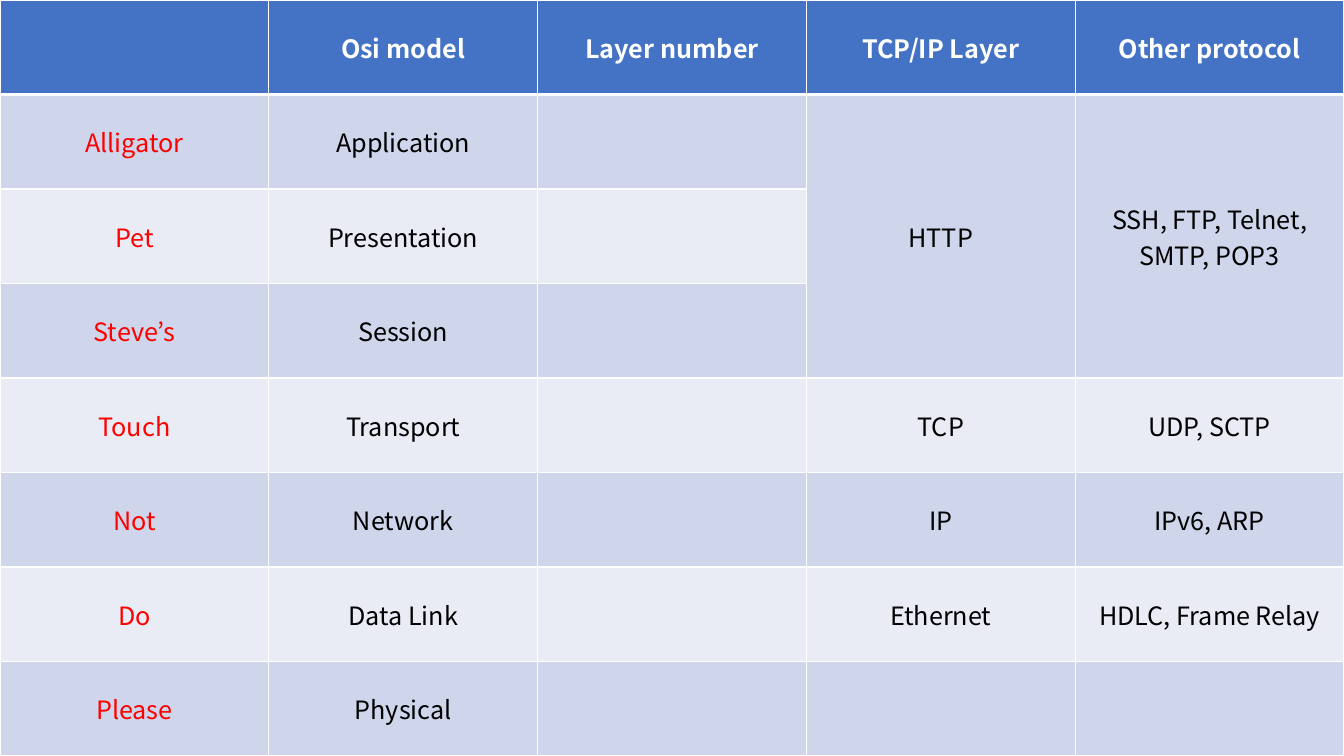
from dataclasses import dataclass

from lxml import etree
from pptx import Presentation
from pptx.dml.color import RGBColor
from pptx.enum.text import MSO_ANCHOR, PP_ALIGN
from pptx.oxml.ns import qn
from pptx.util import Cm, Pt

MIDDLE = MSO_ANCHOR.MIDDLE
CENTER = PP_ALIGN.CENTER

# Content
HEADER = ("", "Osi model", "Layer number", "TCP/IP Layer", "Other protocol")
LAYERS = [
    ("Alligator", "Application", "", "HTTP", "SSH, FTP, Telnet, SMTP, POP3"),
    ("Pet", "Presentation", "", "", ""),
    ("Steve’s", "Session", "", "", ""),
    ("Touch", "Transport", "", "TCP", "UDP, SCTP"),
    ("Not", "Network", "", "IP", "IPv6, ARP"),
    ("Do", "Data Link", "", "Ethernet", "HDLC, Frame Relay"),
    ("Please", "Physical", "", "", ""),
]
MERGED_COLUMNS = (3, 4)
MERGED_ROWS = (1, 3)


@dataclass(frozen=True)
class Theme:
    font: str = "Noto Sans CJK KR"
    size: int = 18
    header_fill: str = "4472C4"
    bands: tuple = ("CFD5EA", "E9EBF5")
    header_text: str = "FFFFFF"
    mnemonic: str = "FF0000"
    body_text: str = "000000"
    border: str = "FFFFFF"
    thin: int = 1
    thick: int = 3


THEME = Theme()


def set_borders(cell, top, bottom):
    tc_pr = cell._tc.get_or_add_tcPr()
    widths = {"a:lnL": THEME.thin, "a:lnR": THEME.thin, "a:lnT": top, "a:lnB": bottom}
    for i, (tag, width) in enumerate(widths.items()):
        ln = etree.Element(qn(tag), w=str(Pt(width)))
        fill = etree.SubElement(ln, qn("a:solidFill"))
        etree.SubElement(fill, qn("a:srgbClr"), val=THEME.border)
        tc_pr.insert(i, ln)


def format_cell(cell, text, row, col):
    is_header = row == 0
    if is_header:
        fill, color = THEME.header_fill, THEME.header_text
    else:
        fill = THEME.bands[(row - 1) % 2]
        color = THEME.mnemonic if col == 0 else THEME.body_text
    cell.fill.solid()
    cell.fill.fore_color.rgb = RGBColor.from_string(fill)
    set_borders(cell, THEME.thick if row == 1 else THEME.thin,
                THEME.thick if is_header else THEME.thin)
    cell.vertical_anchor = MIDDLE
    cell.text_frame.text = text
    p = cell.text_frame.paragraphs[0]
    p.alignment = CENTER
    p.font.size = Pt(THEME.size)
    for r in p.runs:
        r.font.name = THEME.font
        r.font.size = Pt(THEME.size)
        r.font.bold = is_header
        r.font.color.rgb = RGBColor.from_string(color)


def main():
    prs = Presentation()
    prs.slide_width, prs.slide_height = Cm(33.87), Cm(19.05)
    s = prs.slides.add_slide(prs.slide_layouts[6])

    # Table fills the slide with equal rows and columns
    rows = [HEADER, *LAYERS]
    table = s.shapes.add_table(len(rows), len(HEADER), 0, 0,
                               prs.slide_width, prs.slide_height).table
    for row, texts in enumerate(rows):
        for col, text in enumerate(texts):
            format_cell(table.cell(row, col), text, row, col)

    # The top three layers share one protocol cell
    first, last = MERGED_ROWS
    for col in MERGED_COLUMNS:
        table.cell(first, col).merge(table.cell(last, col))

    prs.save("out.pptx")


if __name__ == "__main__":
    main()
